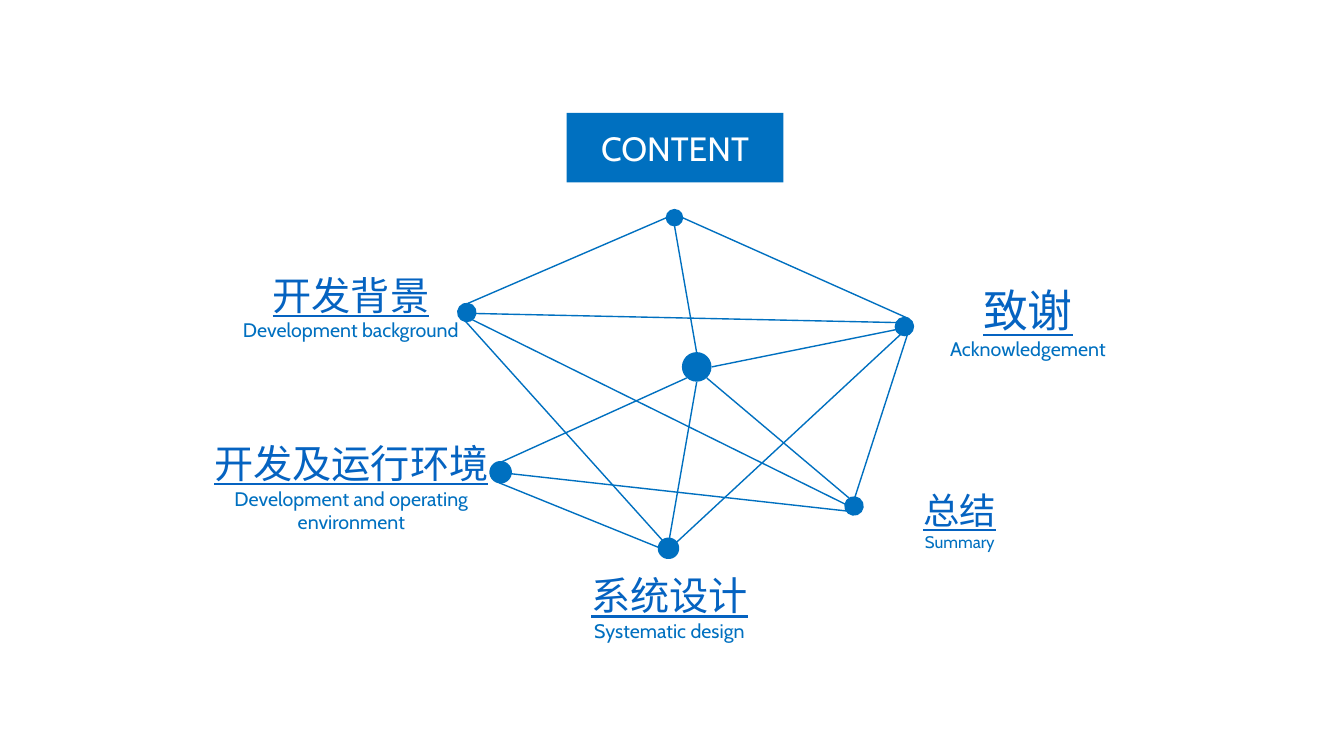
from dataclasses import dataclass

from lxml import etree
from pptx import Presentation
from pptx import util as u
from pptx.dml.color import RGBColor
from pptx.enum import shapes, text
from pptx.oxml.ns import qn

PX = 9144  # EMU per px, 100 px to the inch


@dataclass(frozen=True)
class Theme:
    font: str = "Cabin"
    blue: RGBColor = RGBColor(0x00, 0x70, 0xC0)
    link: RGBColor = RGBColor(0x05, 0x63, 0xC1)
    white: RGBColor = RGBColor(0xFF, 0xFF, 0xFF)
    title: int = 24
    heading: int = 28
    heading_large: int = 32
    heading_small: int = 26
    caption: int = 14
    caption_small: int = 12
    line: int = 1


THEME = Theme()

# left, top, diameter, rotation
NODES = [
    (661, 208, 16, 0),     # top
    (677, 350, 28, 0),     # hub
    (888, 315, 18, 27.4),  # acknowledgement
    (486, 458, 21, 8.1),   # environment
    (454, 301, 18, 8.1),   # background
    (653, 534, 20, 8.1),   # design
    (838, 493, 18, 8.1),   # summary
]

# x1, y1, x2, y2
LINKS = [
    (661, 216, 464, 301),
    (677, 216, 901, 316),
    (669, 224, 691, 350),
    (461, 318, 657, 536),
    (838, 500, 468, 317),
    (889, 320, 471, 311),
    (671, 538, 893, 332),
    (691, 379, 664, 534),
    (701, 375, 842, 494),
    (889, 327, 706, 364),
    (900, 332, 848, 493),
    (681, 375, 498, 458),
    (495, 479, 653, 543),
    (840, 507, 507, 470),
]

# box, heading, caption, heading size, caption size
LABELS = [
    ((231, 264, 234, 81), "开发背景", "Development background",
     THEME.heading, THEME.caption),
    ((197, 431, 303, 104), "开发及运行环境", "Development and operating environment",
     THEME.heading, THEME.caption),
    ((547, 562, 234, 81), "系统设计", "Systematic design",
     THEME.heading, THEME.caption),
    ((852, 479, 200, 74), "总结", "Summary",
     THEME.heading_small, THEME.caption_small),
    ((909, 276, 221, 87), "致谢", "Acknowledgement",
     THEME.heading_large, THEME.caption),
]


def emu(*lengths):
    return [u.Emu(n * PX) for n in lengths]


def write(p, words, *, size, color, underline=False):
    p.alignment = text.PP_ALIGN.CENTER
    r = p.add_run()
    r.text = words
    r.font.name = THEME.font
    r.font.size = u.Pt(size)
    r.font.color.rgb = color
    r.font.underline = underline


def add_title(s, words, box):
    sp = s.shapes.title
    sp.left, sp.top, sp.width, sp.height = emu(*box)
    sp.fill.solid()
    sp.fill.fore_color.rgb = THEME.blue
    tf = sp.text_frame
    tf.auto_size = text.MSO_AUTO_SIZE.NONE
    tf.vertical_anchor = text.MSO_ANCHOR.MIDDLE
    write(tf.paragraphs[0], words, size=THEME.title, color=THEME.white)


def add_link(s, x1, y1, x2, y2):
    cx = s.shapes.add_connector(shapes.MSO_CONNECTOR.STRAIGHT, *emu(x1, y1, x2, y2))
    cx.line.color.rgb = THEME.blue
    cx.line.width = u.Pt(THEME.line)
    etree.SubElement(cx._element.spPr, qn("a:effectLst"))


def add_node(s, left, top, diameter, rotation):
    sp = s.shapes.add_shape(shapes.MSO_SHAPE.OVAL, *emu(left, top, diameter, diameter))
    sp.rotation = rotation
    sp.shadow.inherit = False
    sp.fill.solid()
    sp.fill.fore_color.rgb = THEME.blue
    sp.line.color.rgb = THEME.blue
    sp.line.width = u.Pt(THEME.line)


def add_label(s, box, heading, caption, heading_size, caption_size):
    tf = s.shapes.add_textbox(*emu(*box)).text_frame
    tf.word_wrap = True
    tf.auto_size = text.MSO_AUTO_SIZE.SHAPE_TO_FIT_TEXT
    write(tf.paragraphs[0], heading, size=heading_size, color=THEME.link, underline=True)
    write(tf.add_paragraph(), caption, size=caption_size, color=THEME.blue)


def main():
    prs = Presentation()
    prs.slide_width, prs.slide_height = emu(1333, 750)
    s = prs.slides.add_slide(prs.slide_layouts.get_by_name("Title Only"))
    add_title(s, "CONTENT", (562, 112, 215, 69))
    for link in LINKS:
        add_link(s, *link)
    for node in NODES:
        add_node(s, *node)
    for label in LABELS:
        add_label(s, *label)
    prs.save("out.pptx")


if __name__ == "__main__":
    main()
